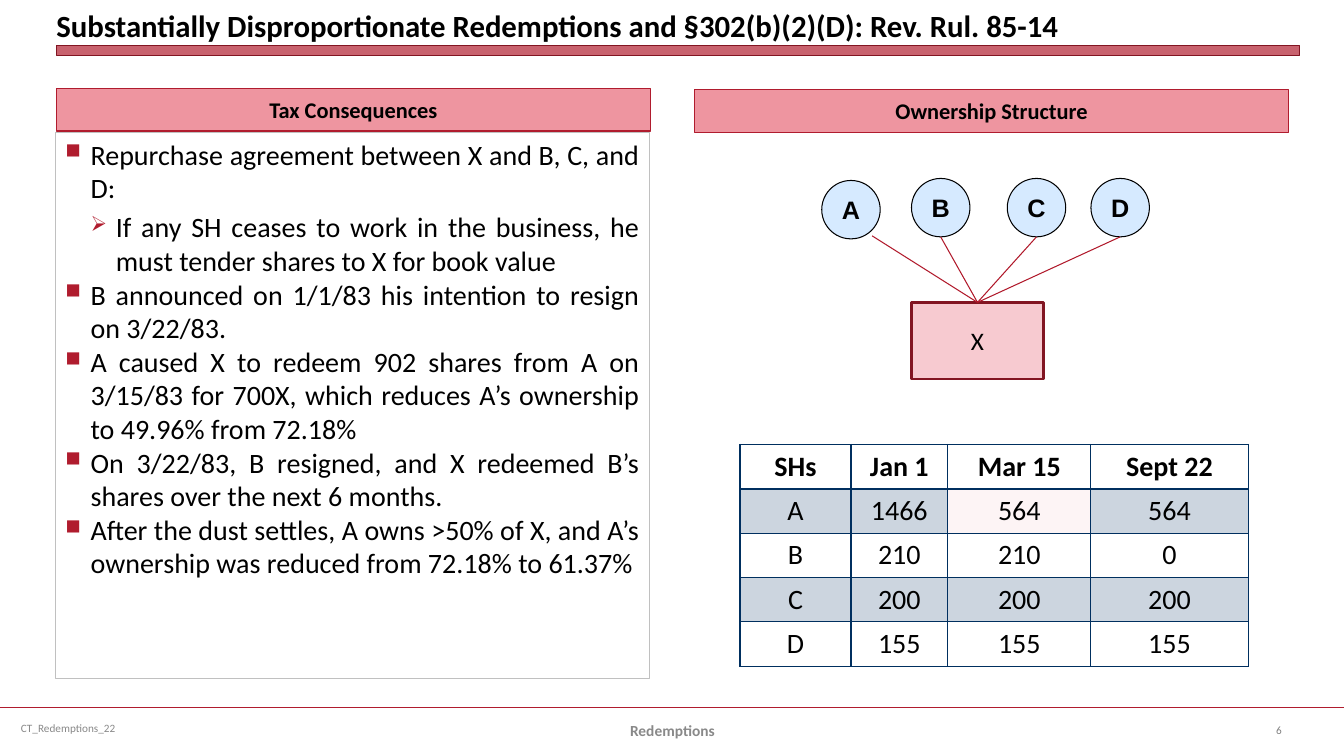
from lxml.etree import SubElement
from pptx import Presentation
from pptx.dml.color import RGBColor
from pptx.enum.shapes import MSO_CONNECTOR, MSO_SHAPE
from pptx.enum.text import MSO_ANCHOR, PP_ALIGN
from pptx.oxml.ns import qn
from pptx.util import Inches, Pt

TITLE = "Substantially Disproportionate Redemptions and §302(b)(2)(D): Rev. Rul. 85-14"
HEADINGS = [("Tax Consequences", 0.56, 0.88), ("Ownership Structure", 6.89, 0.89)]
# (level, text)
CONSEQUENCES = [
    (0, "Repurchase agreement between X and B, C, and D:"),
    (1, "If any SH ceases to work in the business, he must tender shares to X for book value"),
    (0, "B announced on 1/1/83 his intention to resign on 3/22/83."),
    (0, "A caused X to redeem 902 shares from A on 3/15/83 for 700X, which reduces A’s "
        "ownership to 49.96% from 72.18%"),
    (0, "On 3/22/83, B resigned, and X redeemed B’s shares over the next 6 months."),
    (0, "After the dust settles, A owns >50% of X, and A’s ownership was reduced from "
        "72.18% to 61.37%"),
]
# (name, left, top, offset of the line's start from the circle's corner)
SHAREHOLDERS = [
    ("A", 8.15, 1.79, (0.5, 0.55)),
    ("B", 9.04, 1.77, (0.29, 0.58)),
    ("C", 9.99, 1.77, (0.29, 0.58)),
    ("D", 10.82, 1.77, (0.29, 0.58)),
]
HOLDINGS = [
    ("SHs", "Jan 1", "Mar 15", "Sept 22"),
    ("A", "1466", "564", "564"),
    ("B", "210", "210", "0"),
    ("C", "200", "200", "200"),
    ("D", "155", "155", "155"),
]
COLUMN_WIDTHS = (1.1, 0.96, 1.42, 1.56)
ROW_HEIGHT = 0.44
HIGHLIGHT = (1, 2)
CIRCLE = 0.58
# (text, box, format)
FOOTERS = [
    ("CT_Redemptions_22", (0.11, 7.02, 3.44, 0.4), dict(size="small", color="footer")),
    ("Redemptions", (4.56, 7.05, 4.22, 0.4),
     dict(size="footer", color="footer", bold=True, align=PP_ALIGN.CENTER)),
    ("6", (12.56, 7.04, 0.67, 0.4), dict(size="small", color="number")),
]


class Theme:
    font = "Calibri"
    circle_font = "Arial"
    colors = dict(text="000000", white="FFFFFF", red="B01C2E", dark_red="821522",
                  heading="EE95A0", pink="F7CAD0", circle="D6EAFF", link="B0182A",
                  navy="002F5F", frame="C0C0C0", footer="898989", number="808080")
    sizes = dict(title=22, body=20, label=18, heading=16, footer=11, small=8)


def rgb(name):
    return RGBColor.from_string(Theme.colors[name])


def paint(fill, color, opacity=100):
    fill.solid()
    fill.fore_color.rgb = rgb(color)
    if opacity < 100:
        node = fill._xPr.find(qn("a:solidFill"))[0]
        SubElement(node, qn("a:alpha"), val=str(opacity * 1000))


def write(frame, text, para=None, size="body", color="text", bold=False,
          font=Theme.font, align=PP_ALIGN.LEFT, anchor=MSO_ANCHOR.MIDDLE, wrap=True):
    frame.word_wrap = wrap
    frame.vertical_anchor = anchor
    para = para or frame.paragraphs[0]
    para.alignment = align
    span = para.add_run()
    span.text = text
    span.font.name = font
    span.font.size = Pt(Theme.sizes[size])
    span.font.bold = bold
    span.font.color.rgb = rgb(color)


def add_text(slide, text, box, **format):
    frame = slide.shapes.add_textbox(*map(Inches, box)).text_frame
    write(frame, text, **format)
    return frame


def add_block(slide, kind, box, fill, line, width=0.75, opacity=100):
    shape = slide.shapes.add_shape(kind, *map(Inches, box))
    shape.shadow.inherit = False
    paint(shape.fill, fill, opacity)
    shape.line.color.rgb = rgb(line)
    shape.line.width = Pt(width)
    return shape


def add_line(slide, start, end, color, width):
    line = slide.shapes.add_connector(MSO_CONNECTOR.STRAIGHT, *map(Inches, start + end))
    line.line.color.rgb = rgb(color)
    line.line.width = Pt(width)
    SubElement(line._element.spPr, qn("a:effectLst"))
    return line


def add_bullet(para, level):
    properties = para._p.get_or_add_pPr()
    properties.set("marL", str(Inches(0.25 * (level + 1))))
    properties.set("indent", str(Inches(-0.25)))
    color = SubElement(properties, qn("a:buClr"))
    SubElement(color, qn("a:srgbClr"), val=Theme.colors["red"])
    SubElement(properties, qn("a:buSzPct"), val="75000")
    SubElement(properties, qn("a:buChar"), char="■➢"[level])


def add_borders(cell, bottom):
    properties = cell._tc.get_or_add_tcPr()
    for side, width in (("L", 1), ("R", 1), ("T", 1), ("B", bottom)):
        border = SubElement(properties, qn(f"a:ln{side}"), w=str(Pt(width)))
        fill = SubElement(border, qn("a:solidFill"))
        SubElement(fill, qn("a:srgbClr"), val=Theme.colors["navy"])


def add_consequences(slide):
    block = add_block(slide, MSO_SHAPE.RECTANGLE, (0.55, 1.31, 5.89, 5.42), "white", "frame")
    frame = block.text_frame
    for index, (level, text) in enumerate(CONSEQUENCES):
        para = frame.add_paragraph() if index else frame.paragraphs[0]
        para.level = level
        if level:
            para.space_before = Pt(4)
        add_bullet(para, level)
        write(frame, text, para, align=PP_ALIGN.JUSTIFY, anchor=MSO_ANCHOR.TOP)


def add_ownership(slide):
    left, top, width, height = 9.04, 3, 1.31, 0.76
    company = add_block(slide, MSO_SHAPE.RECTANGLE, (left, top, width, height),
                        "pink", "dark_red", 2)
    write(company.text_frame, "X", size="label", align=PP_ALIGN.CENTER)
    for name, x, y, (dx, dy) in SHAREHOLDERS:
        circle = add_block(slide, MSO_SHAPE.OVAL, (x, y, CIRCLE, CIRCLE), "circle", "text")
        write(circle.text_frame, name, size="label", bold=True, font=Theme.circle_font,
              align=PP_ALIGN.CENTER, wrap=False)
        link = add_line(slide, (x + dx, y + dy), (left + width / 2, top), "link", 0.75)
        link.end_connect(company, 0)


def add_holdings(slide):
    box = (7.34, 4.41, sum(COLUMN_WIDTHS), ROW_HEIGHT * len(HOLDINGS))
    table = slide.shapes.add_table(len(HOLDINGS), len(COLUMN_WIDTHS),
                                   *map(Inches, box)).table
    for column, width in zip(table.columns, COLUMN_WIDTHS):
        column.width = Inches(width)
    for r, row in enumerate(HOLDINGS):
        table.rows[r].height = Inches(ROW_HEIGHT)
        for c, value in enumerate(row):
            cell = table.cell(r, c)
            add_borders(cell, bottom=1 if r else 2)
            if r % 2:
                paint(cell.fill, "pink" if (r, c) == HIGHLIGHT else "navy", opacity=20)
            else:
                cell.fill.background()
            write(cell.text_frame, value, bold=r == 0, align=PP_ALIGN.CENTER)
            cell.vertical_anchor = MSO_ANCHOR.TOP


def main():
    deck = Presentation()
    deck.slide_width, deck.slide_height = Inches(13.33), Inches(7.5)
    page = deck.slides.add_slide(deck.slide_layouts[6])
    add_line(page, (0, 7.02), (13.33, 7.02), "red", 1.25)
    add_block(page, MSO_SHAPE.RECTANGLE, (0.56, 0.45, 12.33, 0.1), "red", "dark_red",
              width=0, opacity=69)
    title = add_text(page, TITLE, (0.56, 0, 12.33, 0.43), size="title", bold=True,
                     anchor=MSO_ANCHOR.BOTTOM)
    title.margin_left = title.margin_right = title.margin_top = title.margin_bottom = 0
    for text, left, top in HEADINGS:
        heading = add_block(page, MSO_SHAPE.RECTANGLE, (left, top, 5.89, 0.42),
                            "heading", "red")
        write(heading.text_frame, text, size="heading", bold=True, align=PP_ALIGN.CENTER)
    add_ownership(page)
    add_holdings(page)
    add_consequences(page)
    for text, box, format in FOOTERS:
        add_text(page, text, box, **format)
    deck.save("out.pptx")


if __name__ == "__main__":
    main()
